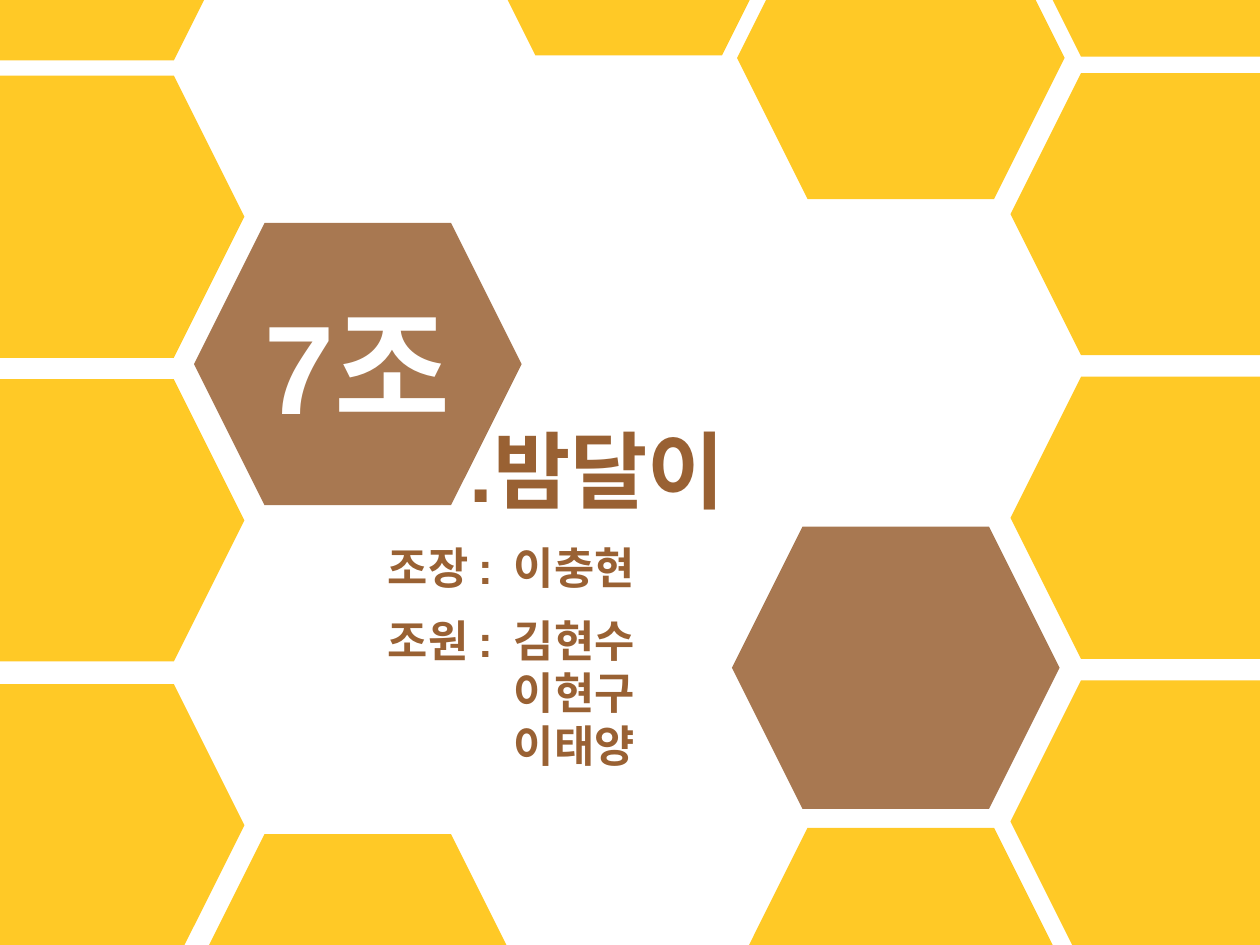
"""Build a honeycomb title slide introducing a team and its members."""
from pptx import Presentation
from pptx.dml.color import RGBColor
from pptx.enum.shapes import MSO_SHAPE
from pptx.enum.text import MSO_ANCHOR, MSO_AUTO_SIZE, PP_ALIGN
from pptx.oxml.ns import qn
from pptx.util import Inches, Pt
from lxml import etree

HEXAGON = MSO_SHAPE.HEXAGON
MIDDLE = MSO_ANCHOR.MIDDLE
GROW = MSO_AUTO_SIZE.SHAPE_TO_FIT_TEXT
LEFT, CENTER = PP_ALIGN.LEFT, PP_ALIGN.CENTER

HONEY_COLUMNS = [
    (-0.66, [-1.76, 0.6, 3.01, 5.43]),
    (1.54, [6.62]),
    (3.69, [-1.8]),
    (5.85, [-0.66, 6.57]),
    (8.02, [-1.79, 0.58, 2.99, 5.4]),
]
TEAM_CELL = (1.54, 1.77)
PLAIN_CELL = (5.81, 4.18)
TEAM_NUMBER = "7조"
TEXT_BOXES = [
    (3.63, 3.27, 0.91, "title", [(".밤달이", 0)]),
    (2.98, 4.24, 0.52, "body", [("조장 :\t이충현", 0)]),
    (2.98, 4.82, 1.36, "body",
     [("조원 :\t김현수", 0), ("이현구", 0.5), ("이태양", 0.5)]),
]
CELL_W, CELL_H, TEXT_W = 2.6, 2.24, 5.85

THEME = {
    "font": "Arial",
    "honey": RGBColor.from_string("FFC000"),
    "brown": RGBColor.from_string("996133"),
    "white": RGBColor.from_string("FFFFFF"),
    "number": 72, "title": 48, "body": 25,
    "opacity": 85,
}


def write(p, text, size, color="brown", align=LEFT, indent=0):
    if indent:
        pPr = p._p.get_or_add_pPr()
        pPr.set("marL", str(Inches(indent)))
        pPr.set("indent", str(Inches(indent)))
    p.alignment = align
    r = p.add_run()
    r.text = text
    r.font.name = THEME["font"]
    r.font.size = Pt(THEME[size])
    r.font.bold = True
    r.font.color.rgb = THEME[color]


def add_cell(s, x, y, color):
    sp = s.shapes.add_shape(HEXAGON, Inches(x), Inches(y),
                            Inches(CELL_W), Inches(CELL_H))
    sp.shadow.inherit = False
    sp.adjustments[0] = 0.25
    sp.line.fill.background()
    sp.fill.solid()
    sp.fill.fore_color.rgb = THEME[color]
    clr = sp._element.spPr.find(qn("a:solidFill"))[0]
    etree.SubElement(clr, qn("a:alpha"), val=str(THEME["opacity"] * 1000))
    return sp


def add_text_box(s, x, y, h, size, lines):
    sp = s.shapes.add_textbox(Inches(x), Inches(y), Inches(TEXT_W), Inches(h))
    tf = sp.text_frame
    tf.word_wrap = True
    tf.auto_size = GROW
    for i, (text, indent) in enumerate(lines):
        p = tf.add_paragraph() if i else tf.paragraphs[0]
        write(p, text, size, indent=indent)


def main():
    prs = Presentation()
    prs.slide_width, prs.slide_height = Inches(10), Inches(7.5)
    s = prs.slides.add_slide(prs.slide_layouts[6])
    for x, tops in HONEY_COLUMNS:
        for y in tops:
            add_cell(s, x, y, "honey")
    add_cell(s, *PLAIN_CELL, "brown")
    tf = add_cell(s, *TEAM_CELL, "brown").text_frame
    tf.word_wrap = True
    tf.vertical_anchor = MIDDLE
    write(tf.paragraphs[0], TEAM_NUMBER, "number", color="white", align=CENTER)
    for box in TEXT_BOXES:
        add_text_box(s, *box)
    prs.save("out.pptx")


if __name__ == "__main__":
    main()
